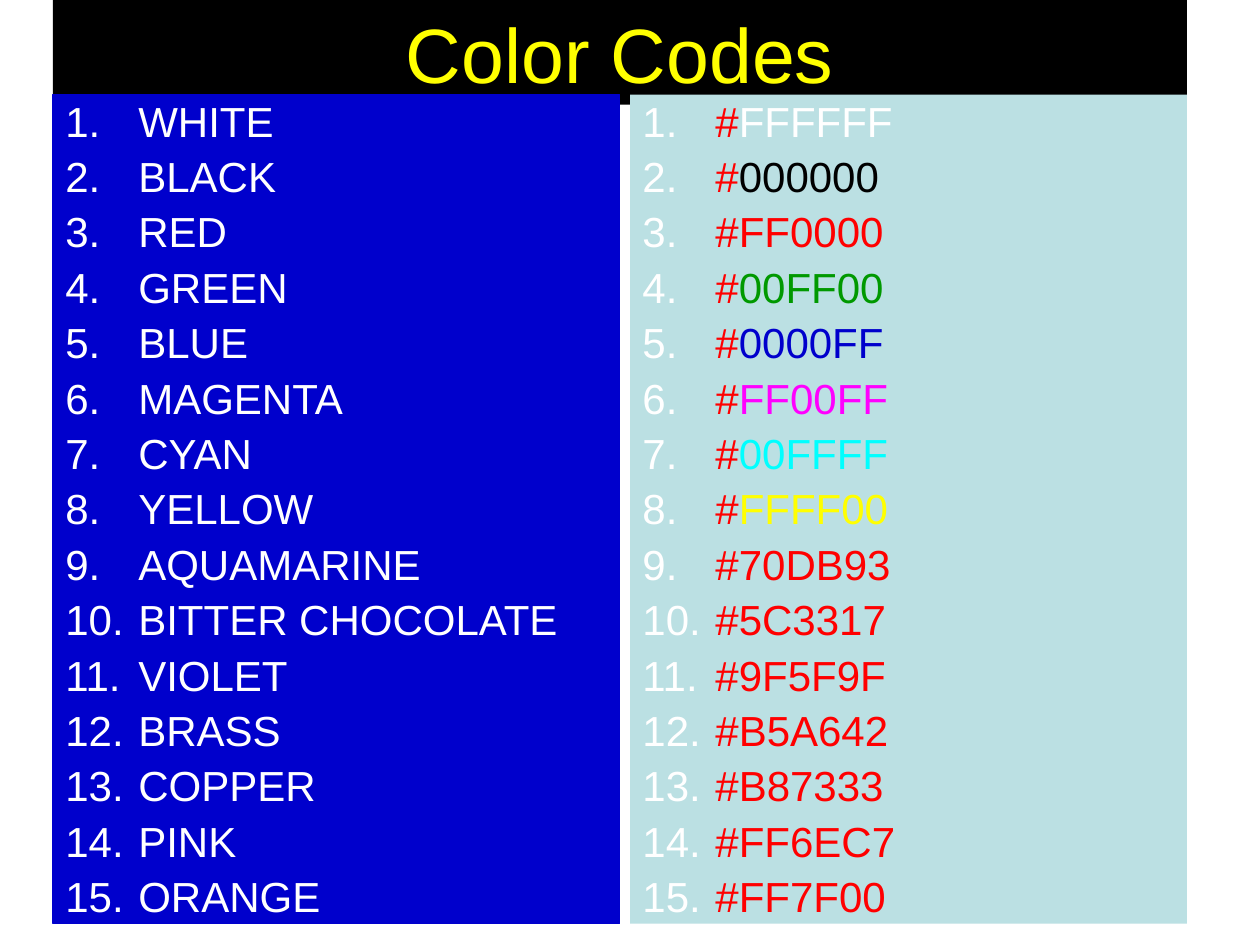
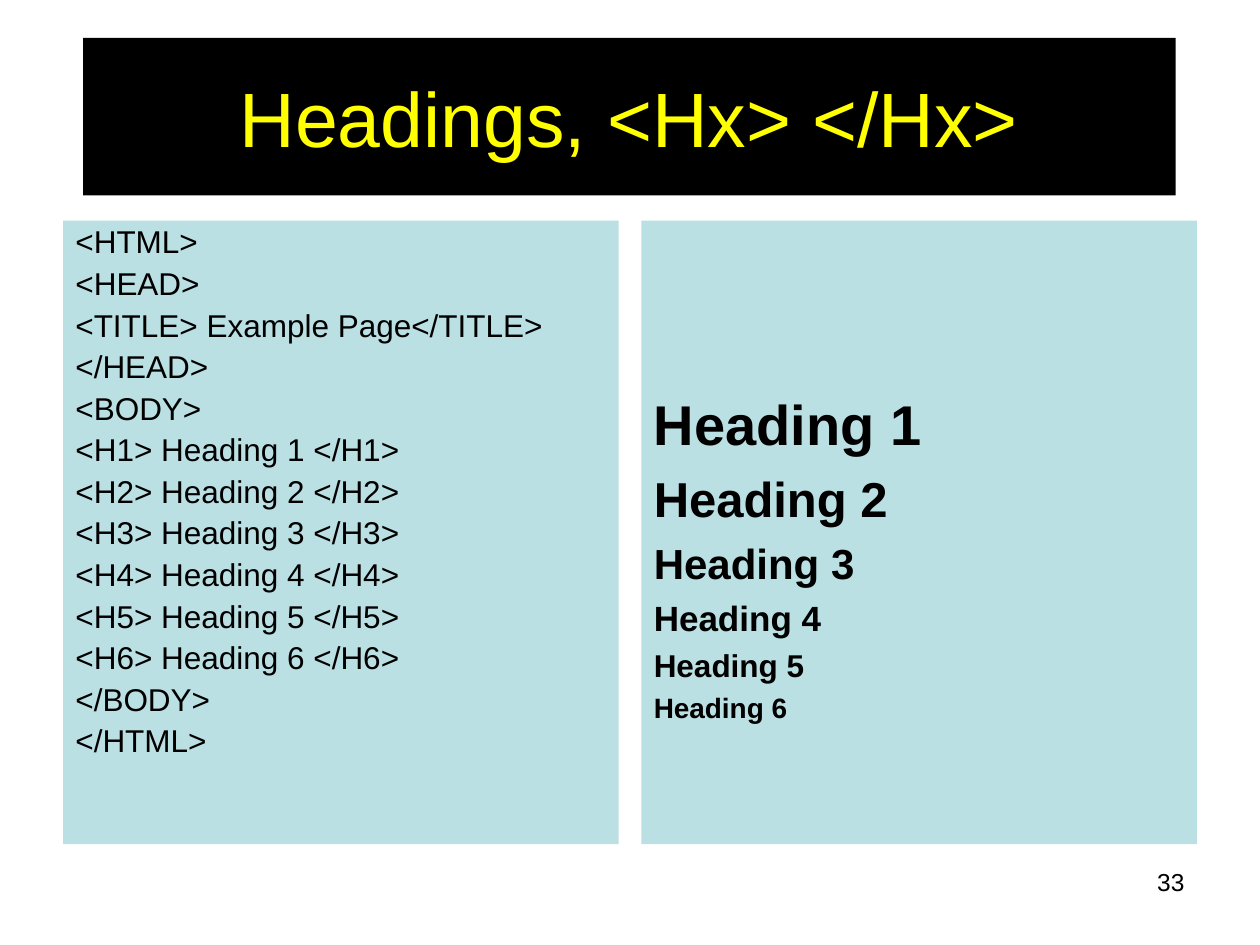
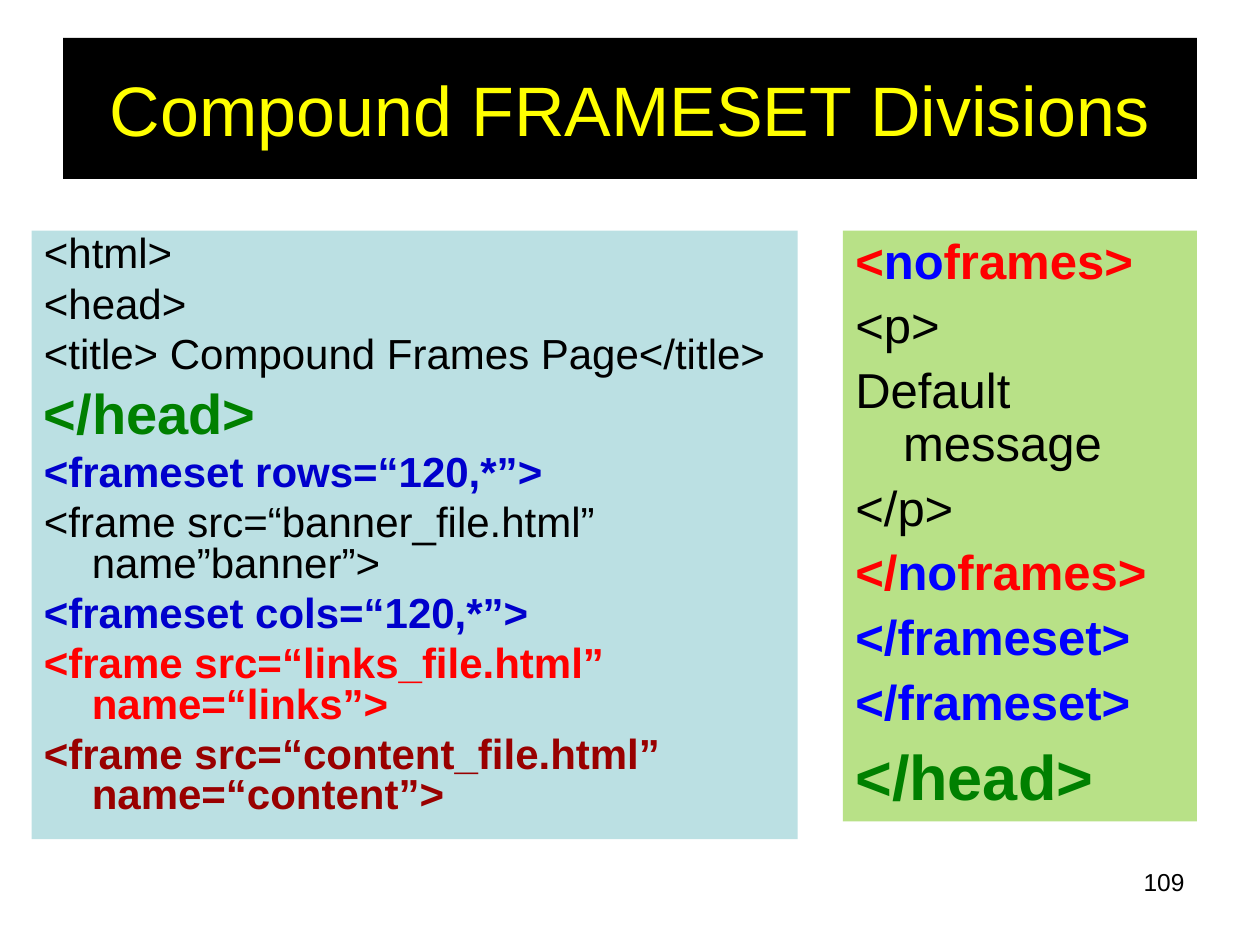
"""Build three slides of an HTML course: color codes, headings and framesets."""
import pptx
import pptx.dml.color
import pptx.enum.text
import pptx.oxml
import pptx.oxml.ns
import pptx.util

PX = 9144
FONT = "Arial"
BLACK, WHITE, RED, YELLOW = "000000", "FFFFFF", "FF0000", "FFFF00"
NAVY, BLUE, GREEN, MAROON = "0000CC", "0000FF", "008000", "990000"
PALE_BLUE, PALE_GREEN = "BBE0E3", "B8E187"
SPACE_BEFORE = 0.24
NUMBER_INDENT, CODE_INDENT = 58, 38


def color(hex_string):
    return pptx.dml.color.RGBColor.from_string(hex_string)


def write(shape, box, fill, paragraphs, spacing=1.0, indent=0, numbered=False, align="LEFT"):
    """Place a shape and fill it with (size, [(text, color, bold), ...]) paragraphs."""
    shape.left, shape.top, shape.width, shape.height = [length * PX for length in box]
    if fill:
        shape.fill.solid()
        shape.fill.fore_color.rgb = color(fill)
    frame = shape.text_frame
    frame.word_wrap = True
    frame.auto_size = pptx.enum.text.MSO_AUTO_SIZE.NONE
    for index, (size, runs) in enumerate(paragraphs):
        paragraph = frame.add_paragraph() if index else frame.paragraphs[0]
        paragraph.alignment = getattr(pptx.enum.text.PP_ALIGN, align)
        paragraph.line_spacing = spacing
        paragraph.space_before = pptx.util.Pt(SPACE_BEFORE * size if index else 0)
        properties = paragraph._p.get_or_add_pPr()
        properties.set("marL", str(indent * PX))
        properties.set("indent", str(-indent * PX))
        if numbered:
            namespace = pptx.oxml.ns.nsdecls("a")
            for bullet in (
                f'<a:buClr {namespace}><a:srgbClr val="{WHITE}"/></a:buClr>',
                f'<a:buFont {namespace} typeface="{FONT}"/>',
                f'<a:buAutoNum {namespace} type="arabicPeriod"/>',
            ):
                properties.append(pptx.oxml.parse_xml(bullet))
        for text, run_color, bold in runs:
            run = paragraph.add_run()
            run.text = text
            run.font.name = FONT
            run.font.size = pptx.util.Pt(size)
            run.font.bold = bold
            run.font.color.rgb = color(run_color)


presentation = pptx.Presentation()
presentation.slide_width = 1000 * PX
presentation.slide_height = 750 * PX

slides = []
for title, size, box, number in [
    ("Color Codes", 44, (42, 0, 900, 83), None),
    ("Headings, <Hx> </Hx>", 44, (66, 30, 867, 125), "33"),
    ("Compound FRAMESET Divisions", 40, (50, 30, 900, 112), "109"),
]:
    slide = presentation.slides.add_slide(presentation.slide_layouts[5])
    write(slide.shapes.title, box, BLACK, [(size, [(title, YELLOW, False)])], align="CENTER")
    slide.shapes.title.text_frame.vertical_anchor = pptx.enum.text.MSO_ANCHOR.MIDDLE
    if number:
        number_box = slide.shapes.add_textbox(0, 0, 0, 0)
        write(number_box, (717, 683, 233, 52), None, [(14, [(number, BLACK, False)])], align="RIGHT")
    slides.append(slide)
color_slide, heading_slide, frame_slide = slides

color_codes = [
    ("WHITE", "FFFFFF", WHITE),
    ("BLACK", "000000", BLACK),
    ("RED", "FF0000", RED),
    ("GREEN", "00FF00", "009900"),
    ("BLUE", "0000FF", NAVY),
    ("MAGENTA", "FF00FF", "FF00FF"),
    ("CYAN", "00FFFF", "00FFFF"),
    ("YELLOW", "FFFF00", YELLOW),
    ("AQUAMARINE", "70DB93", RED),
    ("BITTER CHOCOLATE", "5C3317", RED),
    ("VIOLET", "9F5F9F", RED),
    ("BRASS", "B5A642", RED),
    ("COPPER", "B87333", RED),
    ("PINK", "FF6EC7", RED),
    ("ORANGE", "FF7F00", RED),
]
names = [(24, [(name, WHITE, False)]) for name, code, shade in color_codes]
codes = [(24, [("#", RED, False), (code, shade, False)]) for name, code, shade in color_codes]
name_panel = color_slide.shapes.add_textbox(0, 0, 0, 0)
write(name_panel, (42, 75, 450, 658), NAVY, names, 0.9, NUMBER_INDENT, numbered=True)
name_panel.line.color.rgb = color(NAVY)
name_panel.line.width = pptx.util.Pt(0.75)
code_panel = color_slide.shapes.add_textbox(0, 0, 0, 0)
write(code_panel, (500, 75, 442, 658), PALE_BLUE, codes, 0.9, NUMBER_INDENT, numbered=True)

html_lines = ["<HTML>", "<HEAD>", "<TITLE> Example Page</TITLE>", "</HEAD>", "<BODY>"]
html_lines += [f"<H{level}> Heading {level} </H{level}>" for level in range(1, 7)]
html_lines += ["</BODY>", "</HTML>"]
source_panel = heading_slide.shapes.add_textbox(0, 0, 0, 0)
write(source_panel, (50, 175, 441, 495), PALE_BLUE,
      [(18, [(line, BLACK, False)]) for line in html_lines], 0.9, CODE_INDENT)
headings = [
    (size, [(f"Heading {level}", BLACK, True)])
    for level, size in enumerate([32, 28, 24, 20, 18, 16], start=1)
]
result_panel = heading_slide.shapes.add_textbox(0, 0, 0, 0)
write(result_panel, (509, 175, 441, 495), PALE_BLUE, headings, 1.0, CODE_INDENT)
result_panel.text_frame.margin_top = 134 * PX

frameset_lines = [
    (24, [("<html>", BLACK, False)]),
    (24, [("<head>", BLACK, False)]),
    (24, [("<title> Compound Frames Page</title>", BLACK, False)]),
    (32, [("</head>", GREEN, True)]),
    (24, [("<frameset rows=“120,*”>", NAVY, True)]),
    (24, [("<frame src=“banner_file.html” name”banner”>", BLACK, False)]),
    (24, [("<frameset cols=“120,*”>", NAVY, True)]),
    (24, [("<frame src=“links_file.html” name=“links”>", RED, True)]),
    (24, [("<frame src=“content_file.html” name=“content”>", MAROON, True)]),
]
frameset_panel = frame_slide.shapes.add_textbox(0, 0, 0, 0)
write(frameset_panel, (25, 183, 608, 483), PALE_BLUE, frameset_lines, 0.8, CODE_INDENT)

noframes_lines = [
    (28, [("<", RED, True), ("no", BLUE, True), ("frames>", RED, True)]),
    (28, [("<p>", BLACK, False)]),
    (28, [("Default message", BLACK, False)]),
    (28, [("</p>", BLACK, False)]),
    (28, [("</", RED, True), ("no", BLUE, True), ("frames>", RED, True)]),
    (28, [("</frameset>", BLUE, True)]),
    (28, [("</frameset>", BLUE, True)]),
    (36, [("</head>", GREEN, True)]),
]
noframes_panel = frame_slide.shapes.add_textbox(0, 0, 0, 0)
write(noframes_panel, (669, 183, 281, 469), PALE_GREEN, noframes_lines, 0.9, CODE_INDENT)

presentation.save("out.pptx")
